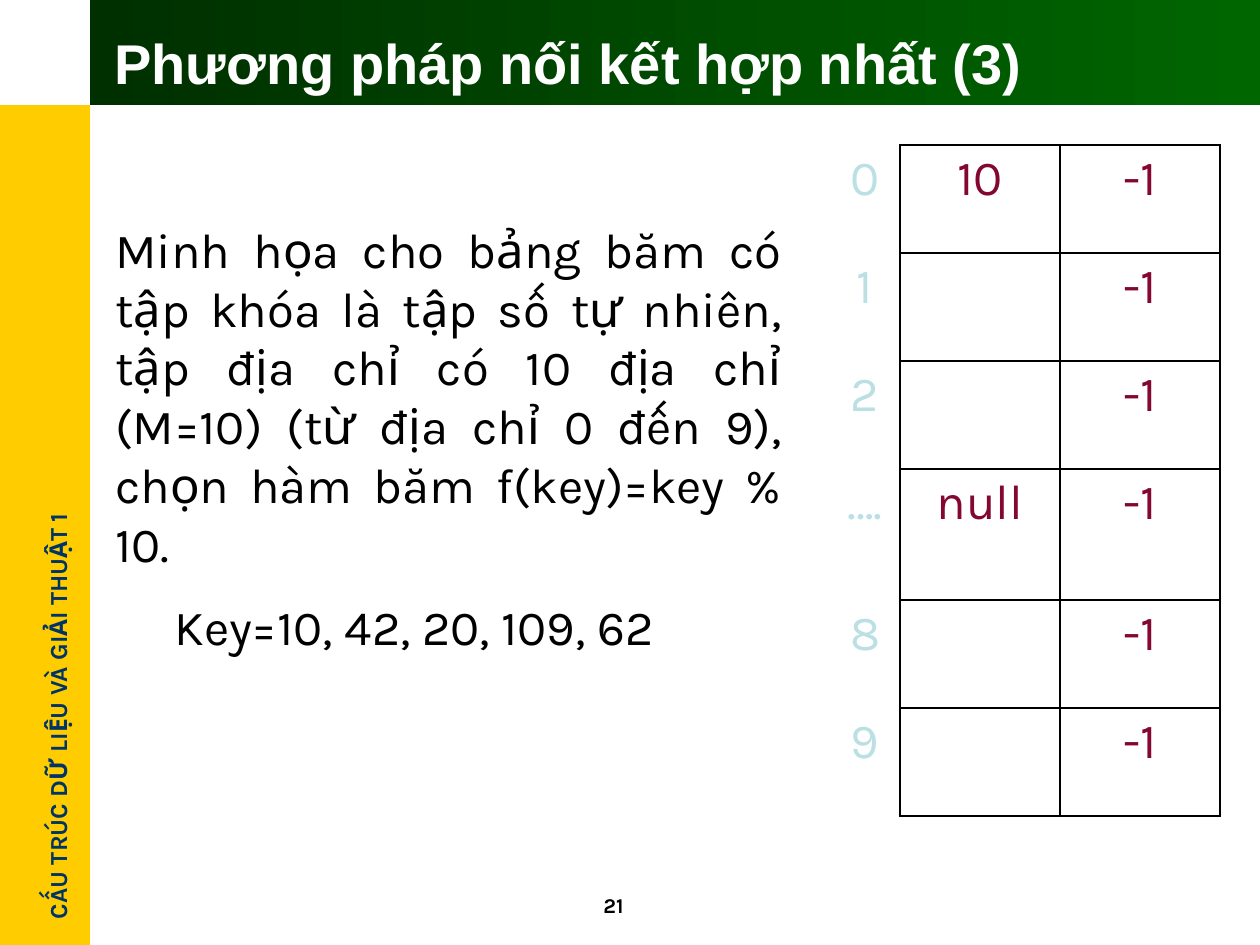
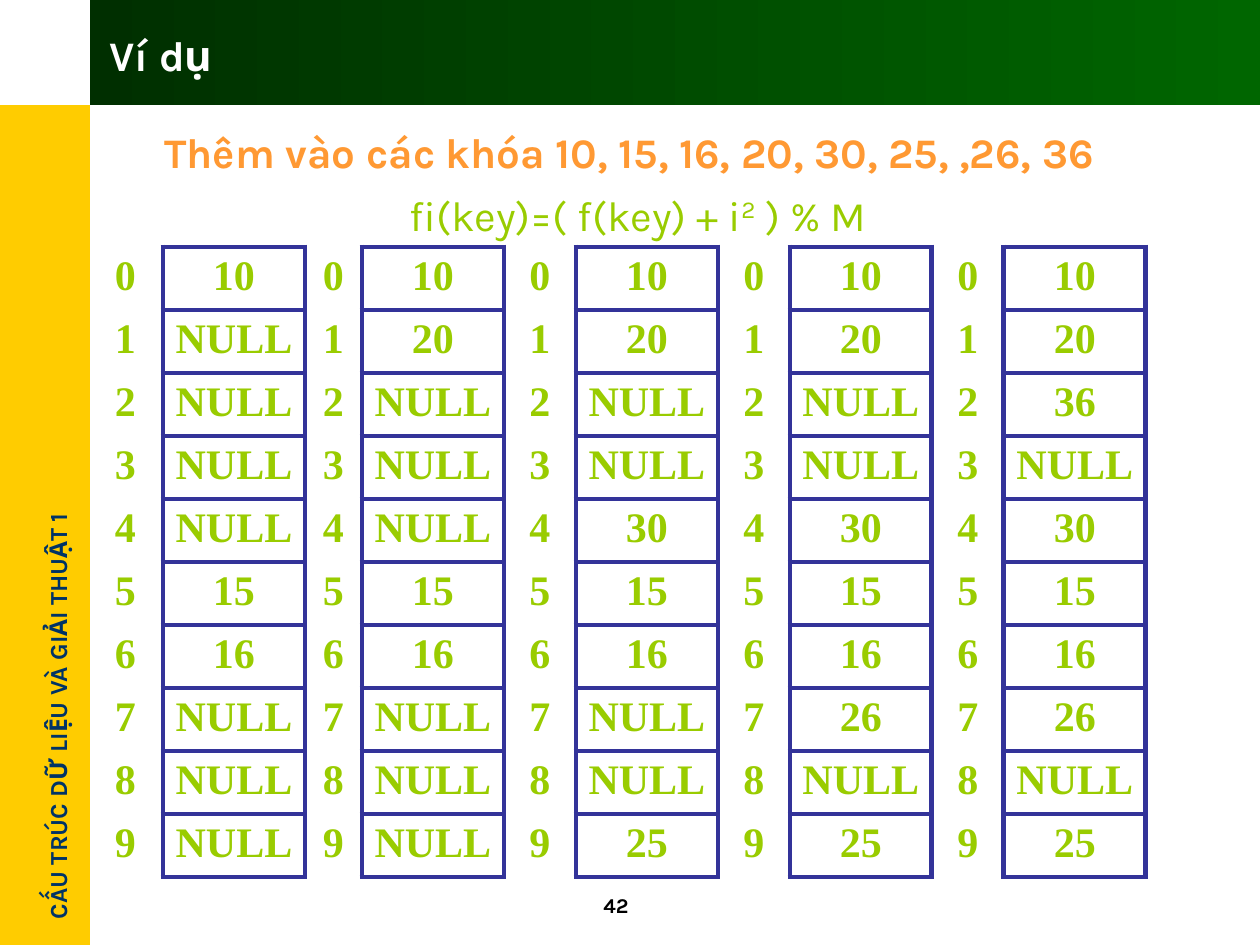
from lxml.etree import SubElement
from pptx import Presentation
from pptx.dml.color import RGBColor
from pptx.enum.shapes import MSO_SHAPE
from pptx.enum.text import MSO_ANCHOR, MSO_AUTO_SIZE, PP_ALIGN
from pptx.oxml.ns import qn
from pptx.util import Pt

# Content
COURSE = "CẤU TRÚC DỮ LIỆU VÀ GIẢI THUẬT 1"
CHAINING = {
    "number": "21",
    "title": "Phương pháp nối kết hợp nhất (3)",
    "intro": "Minh họa cho bảng băm có tập khóa là tập số tự nhiên, tập địa chỉ "
             "có 10 địa chỉ (M=10) (từ địa chỉ 0 đến 9), chọn hàm băm f(key)=key % 10.",
    "keys": "Key=10, 42, 20, 109, 62",
    "rows": [("0", "10", "-1"), ("1", "", "-1"), ("2", "", "-1"),
             ("….", "null", "-1"), ("8", "", "-1"), ("9", "", "-1")],
}
PROBING = {
    "number": "42",
    "title": "Ví dụ",
    "task": "Thêm vào các khóa 10, 15, 16, 20, 30, 25, ,26, 36",
    "formula": [("fi(key)=( f(key) + i", False), ("2", True), (" ) % M", False)],
    # Each step maps the occupied addresses to their keys
    "steps": [
        {0: 10, 5: 15, 6: 16},
        {0: 10, 1: 20, 5: 15, 6: 16},
        {0: 10, 1: 20, 4: 30, 5: 15, 6: 16, 9: 25},
        {0: 10, 1: 20, 4: 30, 5: 15, 6: 16, 7: 26, 9: 25},
        {0: 10, 1: 20, 2: 36, 4: 30, 5: 15, 6: 16, 7: 26, 9: 25},
    ],
}
TABLE_SIZE = 10

# Shared style
COLORS = {
    "sidebar": "FFCC00", "course": "003366", "band_dark": "002F00", "band_light": "006600",
    "white": "FFFFFF", "black": "000000", "address": "BBE0E3", "entry": "830730",
    "grid": "333399", "lime": "99CC00", "orange": "FF9933",
}
SANS, TITLE_FONT, SERIF = "Karla", "Arial", "Times New Roman"
EMU_PER_PX = 914400 / 126
WIDTH, HEIGHT = 1260, 945
SIDEBAR_WIDTH, BAND_HEIGHT = 90, 105


def px(length):
    return round(length * EMU_PER_PX)


def place(*lengths):
    return [px(length) for length in lengths]


def rgb(name):
    return RGBColor.from_string(COLORS[name])


def add_span(para, text, size, color, font=SANS, bold=False, raised=False):
    span = para.add_run()
    span.text = text
    span.font.name, span.font.size, span.font.bold = font, Pt(size), bold
    span.font.color.rgb = rgb(color)
    if raised:
        span._r.get_or_add_rPr().set("baseline", "30000")


def add_box(page, area, wrap=True):
    box = page.shapes.add_textbox(*place(*area))
    box.text_frame.word_wrap = wrap
    box.text_frame.auto_size = MSO_AUTO_SIZE.SHAPE_TO_FIT_TEXT
    return box


def add_label(page, area, text, size, color, wrap=False):
    box = add_box(page, area, wrap)
    add_span(box.text_frame.paragraphs[0], text, size, color, bold=True)
    return box


def add_block(page, *area):
    block = page.shapes.add_shape(MSO_SHAPE.RECTANGLE, *place(*area))
    block.shadow.inherit = False
    block.line.fill.background()
    return block


def add_page(deck, number):
    """Blank page with sidebar, course name, title band and page number."""
    page = deck.slides.add_slide(deck.slide_layouts[6])
    sidebar = add_block(page, 0, BAND_HEIGHT, SIDEBAR_WIDTH, HEIGHT - BAND_HEIGHT)
    sidebar.fill.solid()
    sidebar.fill.fore_color.rgb = rgb("sidebar")
    course = add_label(page, (-179, 673, 474, 43), COURSE, 14, "course")
    course.rotation = 270
    band = add_block(page, SIDEBAR_WIDTH, 0, WIDTH - SIDEBAR_WIDTH, BAND_HEIGHT)
    band.fill.gradient()
    band.fill.gradient_angle = 0
    for stop, color in zip(band.fill.gradient_stops, ("band_dark", "band_light")):
        stop.color.rgb = rgb(color)
    add_label(page, (591, 886, 97, 38), number, 12, "black", wrap=True)
    return page


def set_borders(cell, sides, color, width):
    """Draw the given sides of a cell and clear the others."""
    properties = cell._tc.get_or_add_tcPr()
    for side in "LRTB":
        line = SubElement(properties, qn(f"a:ln{side}"), w=str(Pt(width)))
        if side in sides:
            fill = SubElement(line, qn("a:solidFill"))
            SubElement(fill, qn("a:srgbClr"), val=COLORS[color])
        else:
            SubElement(line, qn("a:noFill"))


def add_hash_table(page, left, top, columns, heights, rows, address_columns, border, style):
    """Address columns stay open above and below; style(column) gives the text look."""
    area = place(left, top, sum(columns), sum(heights))
    table = page.shapes.add_table(len(rows), len(columns), *area).table
    table.first_row = table.horz_banding = False
    for column, width in zip(table.columns, columns):
        column.width = px(width)
    for row, height in zip(table.rows, heights):
        row.height = px(height)
    for i, row in enumerate(rows):
        for j, text in enumerate(row):
            cell = table.cell(i, j)
            cell.margin_left = cell.margin_right = px(12)
            cell.margin_top = cell.margin_bottom = px(6)
            sides = "LRTB"
            if j in address_columns:
                sides = "LR" if j else "R"
            set_borders(cell, sides, *border)
            cell.fill.background()
            para = cell.text_frame.paragraphs[0]
            para.alignment = PP_ALIGN.CENTER
            if text:
                add_span(para, text, **style(j))


def build_chaining(deck):
    page = add_page(deck, CHAINING["number"])
    # Title
    title = page.shapes.add_textbox(*place(102, 0, 1158, 125))
    title.text_frame.word_wrap = True
    title.text_frame.vertical_anchor = MSO_ANCHOR.MIDDLE
    add_span(title.text_frame.paragraphs[0], CHAINING["title"], 32, "white", TITLE_FONT, True)
    # Table with key and next columns
    add_hash_table(
        page, 830, 145, [70, 160, 160], [108, 108, 108, 131, 108, 108], CHAINING["rows"],
        {0}, ("black", 1),
        lambda j: {"size": 28, "color": "entry" if j else "address"})
    # Explanation
    frame = add_box(page, (39, 213, 755, 459)).text_frame
    for para, text, indent in ((frame.paragraphs[0], CHAINING["intro"], 64),
                               (frame.add_paragraph(), CHAINING["keys"], 123)):
        para.alignment = PP_ALIGN.JUSTIFY
        para._p.get_or_add_pPr().set("marL", str(px(indent)))
        add_span(para, text, 28, "black")
    para.space_before = Pt(14)


def build_probing(deck):
    page = add_page(deck, PROBING["number"])
    # One address column and one key column per step
    steps = PROBING["steps"]
    rows = [[text for step in steps for text in (str(address), str(step.get(address, "NULL")))]
            for address in range(TABLE_SIZE)]
    columns = [width for gap in (75, 57, 72, 72, 72) for width in (gap, 142)]
    add_hash_table(
        page, 88, 247, columns, [63] * TABLE_SIZE, rows,
        range(0, len(columns), 2), ("grid", 3),
        lambda j: {"size": 24, "color": "lime", "font": SERIF, "bold": True})
    # Task, probing formula and title
    add_label(page, (152, 120, 1058, 63), PROBING["task"], 24, "orange")
    formula = add_box(page, (397, 183, 533, 63), wrap=False).text_frame.paragraphs[0]
    for text, raised in PROBING["formula"]:
        add_span(formula, text, 24, "lime", raised=raised)
    add_label(page, (97, 23, 134, 63), PROBING["title"], 24, "white")


def main():
    deck = Presentation()
    deck.slide_width, deck.slide_height = place(WIDTH, HEIGHT)
    build_chaining(deck)
    build_probing(deck)
    deck.save("out.pptx")


if __name__ == "__main__":
    main()
